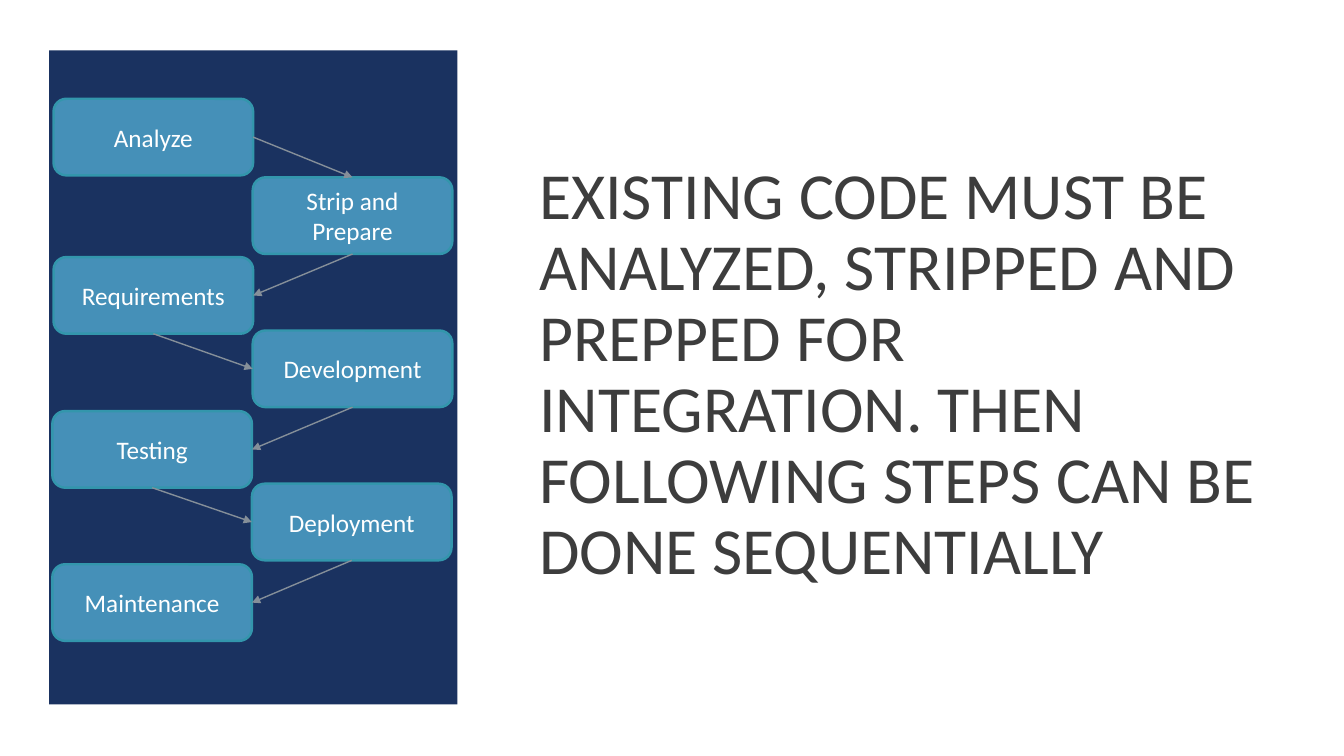
from dataclasses import dataclass
from itertools import pairwise

import pptx
import pptx.dml.color
import pptx.enum.shapes
import pptx.enum.text
import pptx.oxml
import pptx.oxml.ns
import pptx.shapes.autoshape
import pptx.slide
import pptx.util

Cm = pptx.util.Cm
Pt = pptx.util.Pt
Kind = pptx.enum.shapes.MSO_SHAPE
Align = pptx.enum.text.PP_ALIGN

FONT = "Calibri"
COLORS = {
    "page": "FFFFFF",
    "panel": "1A3260",
    "step": "4590B8",
    "border": "3396AC",
    "arrow": "858F99",
    "title": "3D3D3D",
    "label": "FFFFFF",
}
STEP_WIDTH, STEP_HEIGHT = 5.03, 1.93
TOP, LEFT, BOTTOM, RIGHT = range(4)  # connection sites of a box


@dataclass(frozen=True)
class Step:
    label: str
    left: float
    top: float
    entry: int = RIGHT
    exit: int = BOTTOM


STEPS = [
    Step("Analyze", 1.35, 2.49, exit=RIGHT),
    Step("Strip and Prepare", 6.37, 4.47, entry=TOP),
    Step("Requirements", 1.35, 6.48),
    Step("Development", 6.37, 8.33, entry=LEFT),
    Step("Testing", 1.32, 10.36),
    Step("Deployment", 6.35, 12.19, entry=LEFT),
    Step("Maintenance", 1.32, 14.22),
]


def color(name: str) -> pptx.dml.color.RGBColor:
    return pptx.dml.color.RGBColor.from_string(COLORS[name])


def add_block(page: pptx.slide.Slide, kind: Kind, left: float, top: float,
              width: float, height: float, fill: str) -> pptx.shapes.autoshape.Shape:
    block = page.shapes.add_shape(kind, Cm(left), Cm(top), Cm(width), Cm(height))
    block.shadow.inherit = False
    block.fill.solid()
    block.fill.fore_color.rgb = color(fill)
    block.line.fill.background()
    return block


def write(box: pptx.shapes.autoshape.Shape, text: str, size: float,
          ink: str, align: Align) -> None:
    frame = box.text_frame
    frame.word_wrap = True
    frame.vertical_anchor = pptx.enum.text.MSO_ANCHOR.MIDDLE
    para = frame.paragraphs[0]
    para.text = text
    para.alignment = align
    para.font.name = FONT
    para.font.size = Pt(size)
    para.font.color.rgb = color(ink)


def add_step(page: pptx.slide.Slide, step: Step) -> pptx.shapes.autoshape.Shape:
    box = add_block(page, Kind.ROUNDED_RECTANGLE, step.left, step.top,
                    STEP_WIDTH, STEP_HEIGHT, "step")
    box.line.color.rgb = color("border")
    box.line.width = Pt(1.75)
    write(box, step.label, 18, "label", Align.CENTER)
    return box


def add_arrow(page: pptx.slide.Slide, start: pptx.shapes.autoshape.Shape, exit_site: int,
              end: pptx.shapes.autoshape.Shape, entry_site: int) -> None:
    arrow = page.shapes.add_connector(pptx.enum.shapes.MSO_CONNECTOR.STRAIGHT, 0, 0, 0, 0)
    arrow.begin_connect(start, exit_site)
    arrow.end_connect(end, entry_site)
    arrow.line.color.rgb = color("arrow")
    arrow.line.width = Pt(1)
    namespace = pptx.oxml.ns.nsdecls("a")
    arrow.line._get_or_add_ln().append(
        pptx.oxml.parse_xml(f'<a:tailEnd {namespace} type="triangle"/>'))
    arrow._element.spPr.append(pptx.oxml.parse_xml(f"<a:effectLst {namespace}/>"))


deck = pptx.Presentation()
deck.slide_width, deck.slide_height = Cm(33.87), Cm(19.05)
page = deck.slides.add_slide(deck.slide_layouts[6])

# Background
add_block(page, Kind.RECTANGLE, 0, 0, 33.87, 19.05, "page")

# Title
title = page.shapes.add_textbox(Cm(13.34), Cm(2.79), Cm(19.28), Cm(13.34))
write(title, "EXISTING CODE MUST BE ANALYZED, STRIPPED AND PREPPED FOR INTEGRATION. "
      "THEN FOLLOWING STEPS CAN BE DONE SEQUENTIALLY", 47, "title", Align.LEFT)
title.text_frame.paragraphs[0].line_spacing = 0.9

# Process panel with its steps
add_block(page, Kind.RECTANGLE, 1.24, 1.27, 10.29, 16.48, "panel")
boxes = [add_step(page, step) for step in STEPS]

# Arrows from each step to the next
for (step, box), (next_step, next_box) in pairwise(zip(STEPS, boxes)):
    add_arrow(page, box, step.exit, next_box, next_step.entry)

deck.save("out.pptx")
